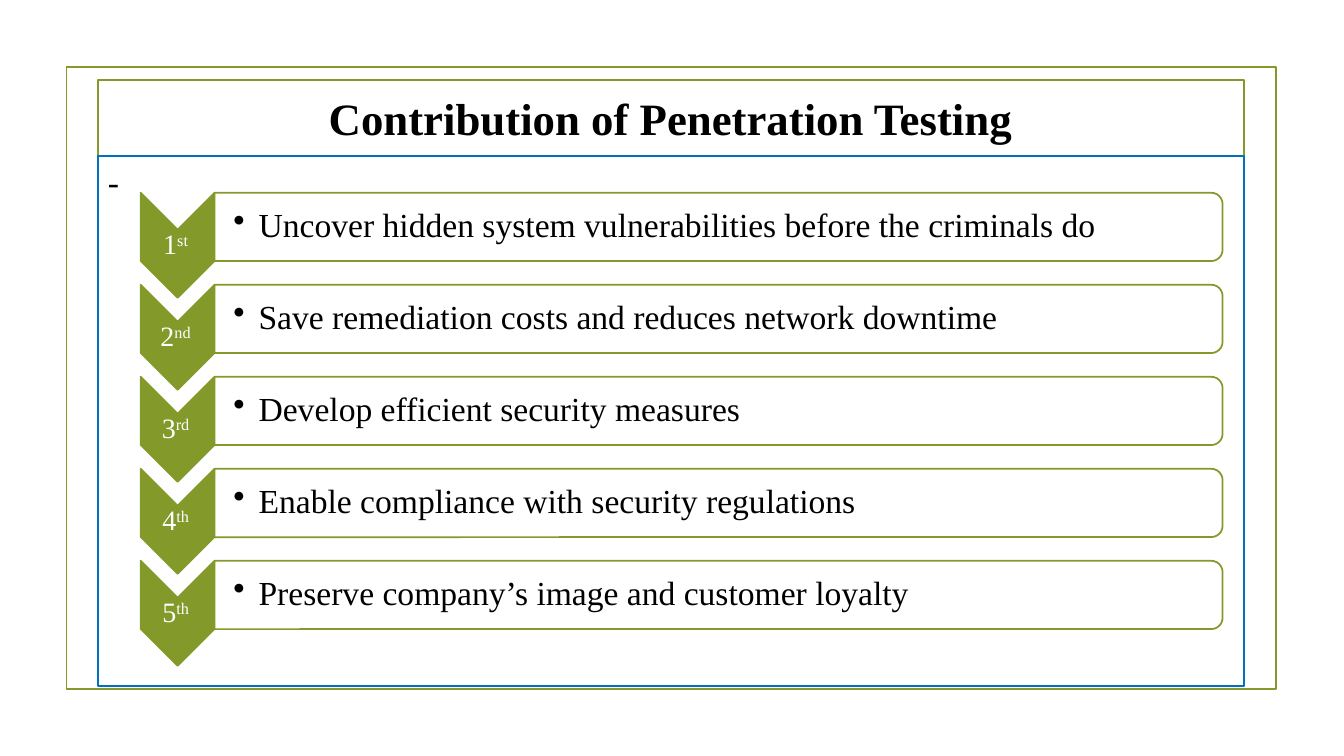
from lxml import etree
from pptx import Presentation
from pptx import util as u
from pptx.dml.color import RGBColor
from pptx.enum import shapes, text
from pptx.oxml import ns

GREEN = RGBColor(0x83, 0x99, 0x2A)
BLUE = RGBColor(0x00, 0x70, 0xC0)
WHITE = RGBColor(0xFF, 0xFF, 0xFF)
BLACK = RGBColor(0x00, 0x00, 0x00)
FACE = "Times New Roman"
KIND = shapes.MSO_SHAPE
STEPS = [
    ("1", "st ", "Uncover hidden system vulnerabilities before the criminals do"),
    ("2", "nd ", "Save remediation costs and reduces network downtime"),
    ("3", "rd ", "Develop efficient security measures"),
    ("4", "th ", "Enable compliance with security regulations"),
    ("5", "th ", "Preserve company’s image and customer loyalty"),
]


def place(shape, box):
    """Move a shape to a box of left, top, width and height in points."""
    for name, value in zip(("left", "top", "width", "height"), box):
        setattr(shape, name, u.Pt(value))


def paint(shape, fill, line):
    """Give a shape its fill, or none, and its outline."""
    if fill is None:
        shape.fill.background()
    else:
        shape.fill.solid()
        shape.fill.fore_color.rgb = fill
    shape.line.color.rgb = line
    shape.line.width = u.Pt(1.25)


def draw(slide, kind, box, fill, turn=0):
    """Add a green-lined shape that fills the box once it is turned."""
    left, top, wide, high = box
    if turn:
        left, top = left + (wide - high) / 2, top + (high - wide) / 2
        wide, high = high, wide
    shape = slide.shapes.add_shape(kind, *map(u.Pt, (left, top, wide, high)))
    shape.rotation = turn
    shape.shadow.inherit = False
    paint(shape, fill, GREEN)
    return shape


def write(para, words, size, color, **style):
    """Add a formatted run to a paragraph."""
    run = para.add_run()
    run.text = words
    run.font.color.rgb = color
    for name, value in {"name": FACE, "size": u.Pt(size), **style}.items():
        setattr(run.font, name, value)
    return run


def mark(para, indent, sign=None):
    """Set the hanging indent and the bullet of a paragraph."""
    props = para._p.get_or_add_pPr()
    props.set("marL", str(u.Pt(indent)))
    props.set("indent", str(-u.Pt(indent)))
    tag = "a:buChar" if sign else "a:buNone"
    bullet = etree.SubElement(props, ns.qn(tag))
    if sign:
        bullet.set("char", sign)


def label(slide, box, inset, left):
    """Add a centred-in-height text box and return its paragraph."""
    frame = slide.shapes.add_textbox(*map(u.Pt, box)).text_frame
    sides = {"margin_left": left, "margin_right": inset,
             "margin_top": inset, "margin_bottom": inset}
    for name, value in sides.items():
        setattr(frame, name, u.Pt(value))
    frame.word_wrap = True
    frame.vertical_anchor = text.MSO_ANCHOR.MIDDLE
    para = frame.paragraphs[0]
    para.line_spacing = 0.9
    return para


def border(slide, box):
    """Draw the outer frame behind everything else."""
    shape = draw(slide, KIND.RECTANGLE, box, None)
    slide.shapes._spTree.insert(2, shape._element)


def head(slide, box):
    """Fill the title placeholder."""
    title = slide.shapes.title
    place(title, box)
    paint(title, WHITE, GREEN)
    frame = title.text_frame
    frame.auto_size = text.MSO_AUTO_SIZE.NONE
    frame.vertical_anchor = text.MSO_ANCHOR.MIDDLE
    para = frame.paragraphs[0]
    para.alignment = text.PP_ALIGN.CENTER
    write(para, "Contribution of Penetration Testing", 32, BLACK, bold=True)


def body(slide, box):
    """Fill the body placeholder."""
    holder = slide.placeholders[1]
    place(holder, box)
    paint(holder, WHITE, BLUE)
    holder.text_frame.auto_size = text.MSO_AUTO_SIZE.NONE
    para = holder.text_frame.paragraphs[0]
    para.space_after = u.Pt(6)
    mark(para, 0)
    write(para, "-", 24, BLACK)


def step(slide, box, count, suffix, words):
    """Draw one numbered chevron with its panel of text."""
    left, top, wide, high = box
    tip = 52.8
    draw(slide, KIND.CHEVRON, (left, top, tip, high), GREEN, 90)
    para = label(slide, (left, top + tip / 2, tip, 22.3), 0.9, 0.9)
    para.alignment = text.PP_ALIGN.CENTER
    write(para, count, 20, WHITE)
    rank = write(para, suffix, 20, WHITE)
    rank._r.get_or_add_rPr().set("baseline", "30000")

    start, room = left + tip, wide - tip
    panel = draw(slide, KIND.ROUND_2_SAME_RECTANGLE, (start, top, room, 48.8), WHITE, 90)
    color = panel.fill._xPr.find(".//" + ns.qn("a:srgbClr"))
    etree.SubElement(color, ns.qn("a:alpha")).set("val", "90000")
    para = label(slide, (start, top + 2.4, room - 2.4, 44), 1.2, 13.4)
    para.level = 1
    mark(para, 18, "•")
    write(para, words, 24, BLACK)


def steps(slide, box):
    """Stack the steps at an even pitch."""
    left, top, wide, high = box
    tall = 75
    pitch = (high - tall) / (len(STEPS) - 1)
    for row, item in enumerate(STEPS):
        step(slide, (left, top + row * pitch, wide, tall), *item)


def main():
    """Build the slide and save it."""
    deck = Presentation()
    deck.slide_width, deck.slide_height = u.Pt(960), u.Pt(540)
    slide = deck.slides.add_slide(deck.slide_layouts[1])
    border(slide, (47.6, 48, 864, 444.3))
    head(slide, (69.8, 56.9, 818.6, 54.7))
    body(slide, (69.8, 111.6, 818.6, 378.2))
    steps(slide, (100.5, 137.7, 772.8, 337.9))
    deck.save("out.pptx")


if __name__ == "__main__":
    main()
